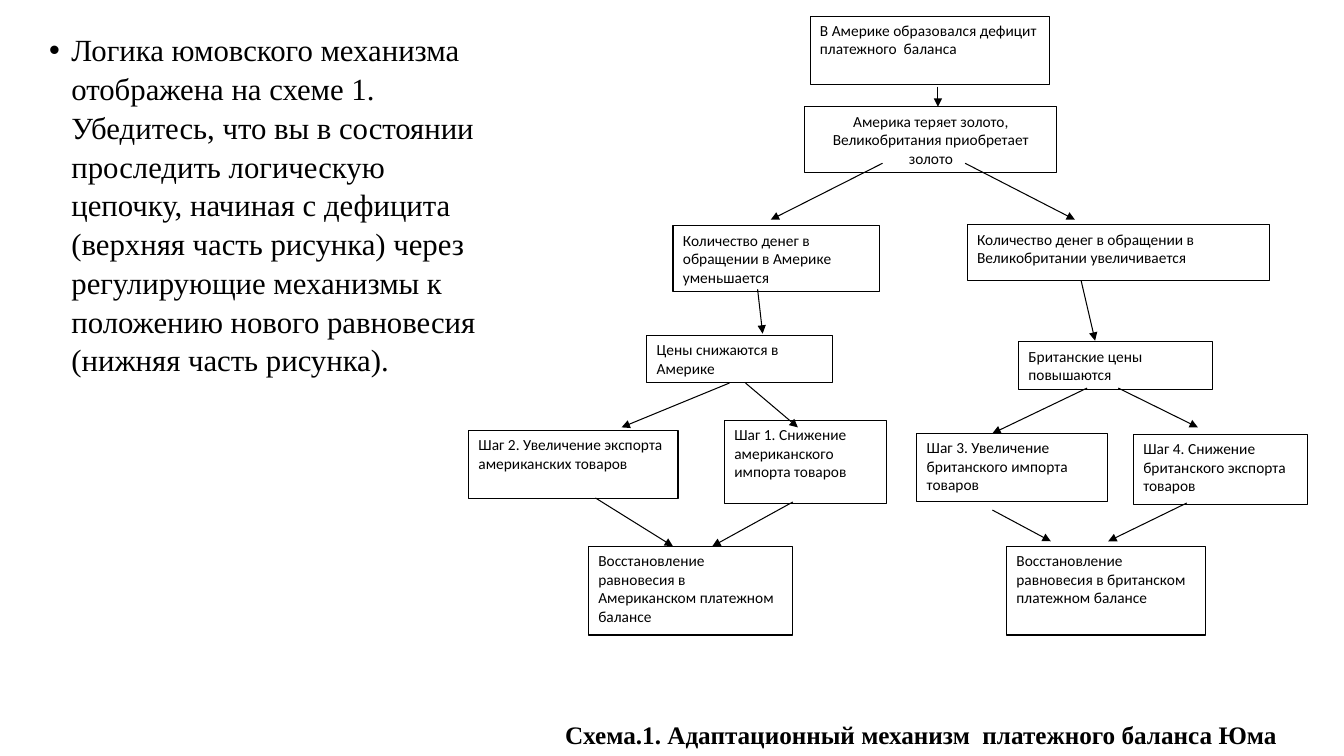
from dataclasses import dataclass

import pptx
import pptx.dml.color
import pptx.enum.shapes
import pptx.enum.text
import pptx.oxml
import pptx.oxml.ns
import pptx.util
from pptx.util import Inches

COLORS = {"ink": "000000", "paper": "FFFFFF"}
LINE_WIDTH = 0.75
BODY_FONT, BOX_FONT = "Times New Roman", "Calibri"
ALIGN = pptx.enum.text.PP_ALIGN


@dataclass
class FlowBox:
    left: float
    top: float
    width: float
    height: float
    text: str
    align: ALIGN = ALIGN.LEFT


@dataclass
class Arrow:
    x1: float
    y1: float
    x2: float
    y2: float


FLOW_BOXES = [
    FlowBox(8.04, 0.16, 2.38, 0.68, "В Америке образовался дефицит платежного  баланса"),
    FlowBox(7.99, 1.06, 2.5, 0.65,
            "Америка теряет золото, Великобритания приобретает золото", ALIGN.CENTER),
    FlowBox(6.68, 2.24, 2.05, 0.65, "Количество денег в обращении в Америке уменьшается"),
    FlowBox(9.6, 2.23, 3, 0.55,
            "Количество денег в обращении в Великобритании увеличивается"),
    FlowBox(6.42, 3.33, 1.84, 0.47, "Цены снижаются в Америке"),
    FlowBox(10.11, 3.39, 1.93, 0.47, "Британские цены повышаются"),
    FlowBox(7.19, 4.17, 1.61, 0.83, "Шаг 1. Снижение американского импорта товаров"),
    FlowBox(4.65, 4.27, 2.08, 0.68, "Шаг 2. Увеличение экспорта американских товаров"),
    FlowBox(5.84, 5.42, 2.03, 0.88,
            "Восстановление равновесия в Американском платежном балансе"),
    FlowBox(9.1, 4.3, 1.89, 0.68, "Шаг 3. Увеличение британского импорта товаров"),
    FlowBox(11.25, 4.31, 1.73, 0.7, "Шаг 4. Снижение британского экспорта товаров"),
    FlowBox(9.99, 5.42, 1.98, 0.88,
            "Восстановление равновесия в британском платежном балансе"),
]

ARROWS = [
    # deficit, gold and money supply
    Arrow(9.31, 0.86, 9.31, 1.06),
    Arrow(8.76, 1.62, 7.65, 2.18),
    Arrow(9.58, 1.62, 10.67, 2.18),
    # money supply to prices
    Arrow(7.52, 2.87, 7.57, 3.31),
    Arrow(10.73, 2.78, 10.87, 3.38),
    # prices to trade steps
    Arrow(7.24, 3.8, 6.17, 4.24),
    Arrow(7.4, 3.8, 7.92, 4.24),
    Arrow(10.79, 3.85, 9.85, 4.3),
    Arrow(11.1, 3.85, 11.89, 4.24),
    # trade steps to equilibrium
    Arrow(5.91, 4.94, 6.68, 5.42),
    Arrow(7.87, 4.98, 7.07, 5.42),
    Arrow(9.85, 5.06, 10.43, 5.37),
    Arrow(11.78, 4.99, 11, 5.37),
]

INTRO = ("Логика юмовского механизма отображена на схеме 1. Убедитесь, что вы в состоянии "
         "проследить логическую цепочку, начиная с дефицита (верхняя часть рисунка) через "
         "регулирующие механизмы к положению нового равновесия (нижняя часть рисунка).")
CAPTION = "Схема.1. Адаптационный механизм  платежного баланса Юма"


def color(name: str) -> pptx.dml.color.RGBColor:
    return pptx.dml.color.RGBColor.from_string(COLORS[name])


def write(shape, text: str, font: str, size: float, bold: bool = False,
          align: ALIGN = ALIGN.LEFT):
    """Fill a shape with one top-anchored paragraph and return the paragraph."""
    frame = shape.text_frame
    frame.text = text
    frame.word_wrap = True
    frame.vertical_anchor = pptx.enum.text.MSO_ANCHOR.TOP
    para = frame.paragraphs[0]
    para.alignment = align
    for span in para.runs:
        span.font.name = font
        span.font.size = pptx.util.Pt(size)
        span.font.bold = bold
        span.font.color.rgb = color("ink")
    return para


def style_line(line) -> None:
    line.color.rgb = color("ink")
    line.width = pptx.util.Pt(LINE_WIDTH)


def add_text(page, left: float, top: float, width: float, height: float,
             text: str, size: float, bold: bool = False):
    box = page.shapes.add_textbox(Inches(left), Inches(top), Inches(width), Inches(height))
    return write(box, text, BODY_FONT, size, bold)


def add_bullet(para, indent: float) -> None:
    properties = para._p.get_or_add_pPr()
    properties.set("marL", str(Inches(indent)))
    properties.set("indent", str(-Inches(indent)))
    for tag, name, value in (("a:buFont", "typeface", "Arial"), ("a:buChar", "char", "•")):
        properties.append(pptx.oxml.xmlchemy.OxmlElement(tag))
        properties[-1].set(name, value)


def add_flow_box(page, item: FlowBox) -> None:
    box = page.shapes.add_shape(
        pptx.enum.shapes.MSO_SHAPE.RECTANGLE,
        Inches(item.left), Inches(item.top), Inches(item.width), Inches(item.height))
    box.shadow.inherit = False
    box.fill.solid()
    box.fill.fore_color.rgb = color("paper")
    style_line(box.line)
    write(box, item.text, BOX_FONT, 11, align=item.align)


def add_arrow(page, arrow: Arrow) -> None:
    connector = page.shapes.add_connector(
        pptx.enum.shapes.MSO_CONNECTOR.STRAIGHT,
        Inches(arrow.x1), Inches(arrow.y1), Inches(arrow.x2), Inches(arrow.y2))
    style_line(connector.line)
    head = pptx.oxml.xmlchemy.OxmlElement("a:tailEnd")
    head.set("type", "triangle")
    connector.line._get_or_add_ln().append(head)
    connector._element.spPr.append(pptx.oxml.xmlchemy.OxmlElement("a:effectLst"))


def main() -> None:
    deck = pptx.Presentation()
    deck.slide_width, deck.slide_height = Inches(13.34), Inches(7.5)
    page = deck.slides.add_slide(deck.slide_layouts[6])

    intro = add_text(page, 0.39, 0.24, 4.49, 3.76, INTRO, 22)
    intro.line_spacing = 1.05
    add_bullet(intro, 0.22)
    for item in FLOW_BOXES:
        add_flow_box(page, item)
    for arrow in ARROWS:
        add_arrow(page, arrow)
    add_text(page, 5.51, 7.09, 7.48, 0.41, CAPTION, 18, bold=True)

    deck.save("out.pptx")


if __name__ == "__main__":
    main()
